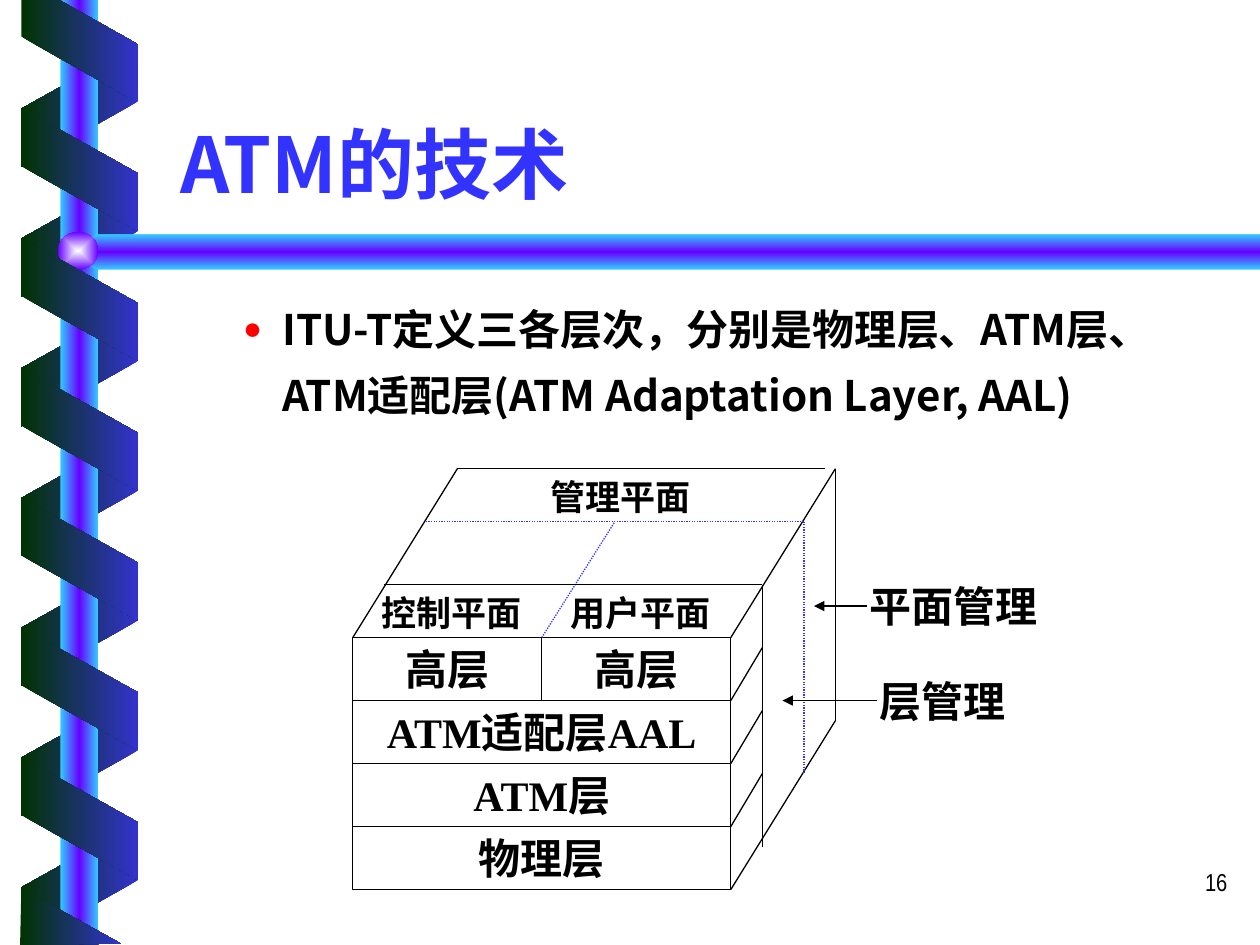
from lxml.etree import SubElement
from pptx import Presentation
from pptx.dml.color import RGBColor
from pptx.enum.dml import MSO_LINE
from pptx.enum.shapes import MSO_CONNECTOR, MSO_SHAPE
from pptx.enum.text import MSO_ANCHOR, MSO_AUTO_SIZE, PP_ALIGN
from pptx.oxml.ns import qn
from pptx.util import Inches, Pt

BLACK = RGBColor(0x00, 0x00, 0x00)
BLUE = RGBColor(0x33, 0x33, 0xFF)
RED = RGBColor(0xFF, 0x00, 0x00)
RIBBON_BLUE = RGBColor(0x33, 0x33, 0xCC)
RIBBON_GREEN = RGBColor(0x00, 0x33, 0x00)
CYAN = RGBColor(0x33, 0xCC, 0xFF)
VIOLET = RGBColor(0x66, 0x00, 0xFF)
PEARL = RGBColor(0xFE, 0xFF, 0xFF)

RIBBON_FADE = [RIBBON_GREEN, RIBBON_BLUE]
BAR_FADE = [CYAN, VIOLET, CYAN]
SANS = "Noto Sans CJK SC"
SERIF = "Times New Roman"

LEFT, MIDDLE, RIGHT = 2.8, 4.3, 5.8
TOP, LAYER = 5.06, 0.5
BOTTOM = TOP + 4 * LAYER
NEAR, FAR, BACK = (0.25, -0.42), (0.58, -0.92), (0.83, -1.34)


def fill_gradient(shape, colors, angle=0, radial=False):
    shape.shadow.inherit = False
    shape.line.fill.background()
    shape.fill.background()
    properties = shape._element.spPr
    empty_fill = properties.find(qn("a:noFill"))
    gradient = SubElement(properties, qn("a:gradFill"), rotWithShape="0")
    properties.replace(empty_fill, gradient)
    stops = SubElement(gradient, qn("a:gsLst"))
    for index, color in enumerate(colors):
        position = 100000 * index // (len(colors) - 1)
        stop = SubElement(stops, qn("a:gs"), pos=str(position))
        SubElement(stop, qn("a:srgbClr"), val=str(color))
    if radial:
        center = SubElement(gradient, qn("a:path"), path="rect")
        SubElement(center, qn("a:fillToRect"), l="50000", t="50000", r="50000", b="50000")
    else:
        SubElement(gradient, qn("a:lin"), ang=str(angle * 60000), scaled="0")


def add_preset(slide, kind, left, top, width, height):
    return slide.shapes.add_shape(
        kind, Inches(left), Inches(top), Inches(width), Inches(height))


def add_outline(slide, points, colors, angle=0):
    corners = [(Inches(x), Inches(y)) for x, y in points]
    builder = slide.shapes.build_freeform(*corners[0], scale=1.0)
    builder.add_line_segments(corners[1:], close=True)
    fill_gradient(builder.convert_to_shape(), colors, angle)


def add_ribbon(slide, top, behind):
    ribbon = add_preset(slide, MSO_SHAPE.PARALLELOGRAM, 0.14, top, 0.98, 0.93)
    ribbon.adjustments[0] = 0.56
    ribbon.rotation = 90 if behind else 270
    if behind:
        ribbon._element.spPr.xfrm.set("flipH", "1")
    fill_gradient(ribbon, RIBBON_FADE[::-1] if behind else RIBBON_FADE)


def add_decoration(slide):
    turn = 1.03
    for index in range(7):
        add_ribbon(slide, 0.37 + index * turn, behind=True)
    pole = add_preset(slide, MSO_SHAPE.RECTANGLE, 0.48, 0, 0.3, 7.5)
    fill_gradient(pole, BAR_FADE)
    add_outline(slide, [(10, 1.86), (0.76, 1.86), (0.6, 2), (0.76, 2.14), (10, 2.14)],
                BAR_FADE, 90)
    ball = add_preset(slide, MSO_SHAPE.OVAL, 0.46, 1.84, 0.32, 0.3)
    fill_gradient(ball, [PEARL, VIOLET], radial=True)
    for index in range(6):
        add_ribbon(slide, 0.88 + index * turn, behind=False)
    add_outline(slide, [(0.17, 0), (0.17, 0.29), (1.09, 0.81), (1.09, 0.35), (0.47, 0)],
                RIBBON_FADE)
    add_outline(slide, [(0.96, 7.49), (0.17, 7.05), (0.16, 7.5)], RIBBON_FADE)


def write_text(shape, text, size, font=SERIF, color=BLACK, bold=True, align=PP_ALIGN.LEFT):
    paragraph = shape.text_frame.paragraphs[0]
    paragraph.text = text
    paragraph.alignment = align
    paragraph.font.name = font
    paragraph.font.size = Pt(size)
    paragraph.font.bold = bold
    paragraph.font.color.rgb = color
    return paragraph


def place(shape, left, top, width, height):
    shape.left, shape.top = Inches(left), Inches(top)
    shape.width, shape.height = Inches(width), Inches(height)
    shape.text_frame.auto_size = MSO_AUTO_SIZE.NONE


def add_title(slide, text):
    title = slide.shapes.title
    place(title, 1.33, 0.46, 8.5, 1.25)
    title.text_frame.vertical_anchor = MSO_ANCHOR.BOTTOM
    write_text(title, text, 44, SANS, BLUE)


def add_bullet_text(slide, text):
    body = slide.placeholders[1]
    place(body, 1.33, 2.24, 8.5, 1.35)
    paragraph = body.text_frame.paragraphs[0]
    paragraph.level = 1
    paragraph.line_spacing = 1.3
    paragraph.space_before = Pt(0)
    properties = paragraph._p.get_or_add_pPr()
    properties.set("marL", str(Inches(0.81)))
    properties.set("indent", str(Inches(-0.31)))
    bullet_color = SubElement(properties, qn("a:buClr"))
    SubElement(bullet_color, qn("a:srgbClr"), val=str(RED))
    SubElement(properties, qn("a:buSzPct"), val="75000")
    SubElement(properties, qn("a:buChar"), char="●")
    write_text(body, text, 24, SANS)


def add_label(slide, text, left, top, width, height, size=24, align=PP_ALIGN.LEFT,
              side_inset=0.1, anchor=MSO_ANCHOR.TOP, font=SERIF, bold=True):
    label = slide.shapes.add_textbox(
        Inches(left), Inches(top), Inches(width), Inches(height))
    frame = label.text_frame
    frame.word_wrap = True
    frame.vertical_anchor = anchor
    frame.margin_left = frame.margin_right = Inches(side_inset)
    write_text(label, text, size, font, bold=bold, align=align)


def add_layer(slide, text, left, row, width):
    layer = add_preset(slide, MSO_SHAPE.RECTANGLE, left, TOP + row * LAYER, width, LAYER)
    layer.shadow.inherit = False
    layer.fill.background()
    layer.line.color.rgb = BLACK
    layer.line.width = Pt(0.75)
    layer.text_frame.word_wrap = False
    layer.text_frame.vertical_anchor = MSO_ANCHOR.MIDDLE
    write_text(layer, text, 24, align=PP_ALIGN.CENTER)


def add_line(slide, start, end, dotted=False, arrow=False):
    line = slide.shapes.add_connector(
        MSO_CONNECTOR.STRAIGHT, *(Inches(value) for value in (*start, *end)))
    line.line.color.rgb = BLUE if dotted else BLACK
    line.line.width = Pt(0.75)
    if dotted:
        line.line.dash_style = MSO_LINE.ROUND_DOT
    if arrow:
        SubElement(line.line._get_or_add_ln(), qn("a:tailEnd"), type="triangle")
    SubElement(line._element.spPr, qn("a:effectLst"))


def shift(x, y, depth):
    return x + depth[0], y + depth[1]


def add_cube(slide):
    full, half = RIGHT - LEFT, MIDDLE - LEFT
    for text, left, row, width in [
        ("物理层", LEFT, 3, full), ("ATM层", LEFT, 2, full), ("ATM适配层AAL", LEFT, 1, full),
        ("高层", LEFT, 0, half), ("高层", MIDDLE, 0, half),
    ]:
        add_layer(slide, text, left, row, width)
    for text, left, top in [
        ("控制平面", 2.96, 4.64), ("管理平面", 4.3, 3.72), ("用户平面", 4.46, 4.64),
    ]:
        add_label(slide, text, left, top, 1.25, 0.44, 20, PP_ALIGN.CENTER, 0,
                  MSO_ANCHOR.MIDDLE)

    for x, y in [(LEFT, TOP), (RIGHT, TOP), (RIGHT, BOTTOM)]:
        add_line(slide, (x, y), shift(x, y, BACK))
    add_line(slide, (MIDDLE, TOP), shift(MIDDLE, TOP, FAR), dotted=True)
    for depth, right_end, down_end in [
        (NEAR, 6.05, 6.72), (FAR, 6.38, 6.14), (BACK, 6.55, 5.72),
    ]:
        dotted = depth == FAR
        corner = shift(RIGHT, TOP, depth)
        add_line(slide, shift(LEFT, TOP, depth), (right_end, corner[1]), dotted)
        add_line(slide, corner, (corner[0], down_end), dotted)
    for row in range(1, 4):
        y = TOP + row * LAYER
        add_line(slide, (RIGHT, y), shift(RIGHT, y, NEAR))

    add_label(slide, "层管理", 6.88, 5.31, 1.42, 0.5)
    add_label(slide, "平面管理", 6.8, 4.56, 1.75, 0.5)
    add_line(slide, (6.88, 4.81), (6.46, 4.81), arrow=True)
    add_line(slide, (6.96, 5.56), (6.21, 5.56), arrow=True)


def main():
    presentation = Presentation()
    presentation.slide_width, presentation.slide_height = Inches(10), Inches(7.5)
    slide = presentation.slides.add_slide(presentation.slide_layouts[1])
    add_decoration(slide)
    add_title(slide, "ATM的技术")
    add_bullet_text(
        slide, "ITU-T定义三各层次，分别是物理层、ATM层、ATM适配层(ATM Adaptation Layer, AAL)")
    add_cube(slide)
    add_label(slide, "16", 7.76, 6.83, 2.08, 0.5, 14, PP_ALIGN.RIGHT,
              font="Arial Narrow", bold=False)
    presentation.save("out.pptx")


if __name__ == "__main__":
    main()
